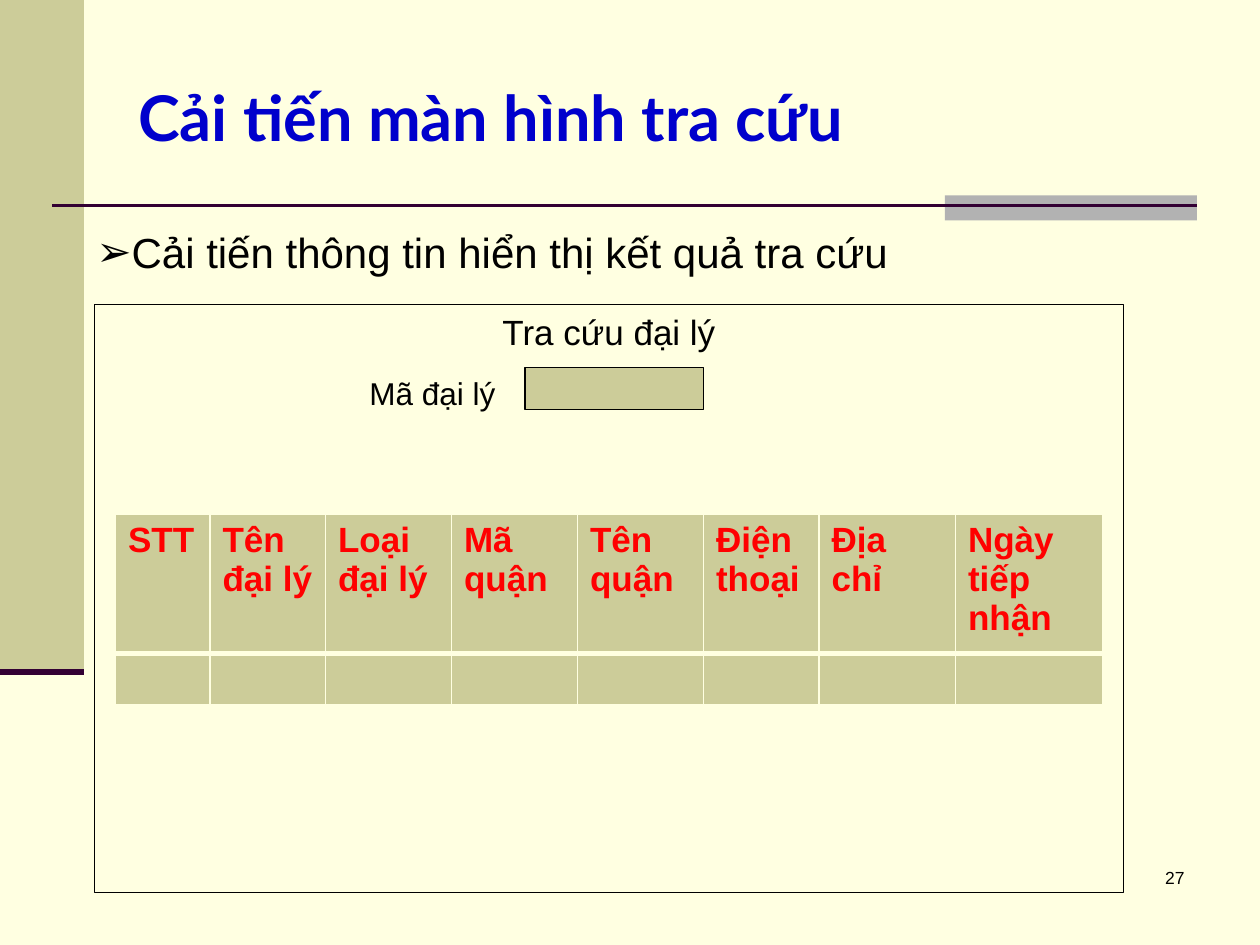
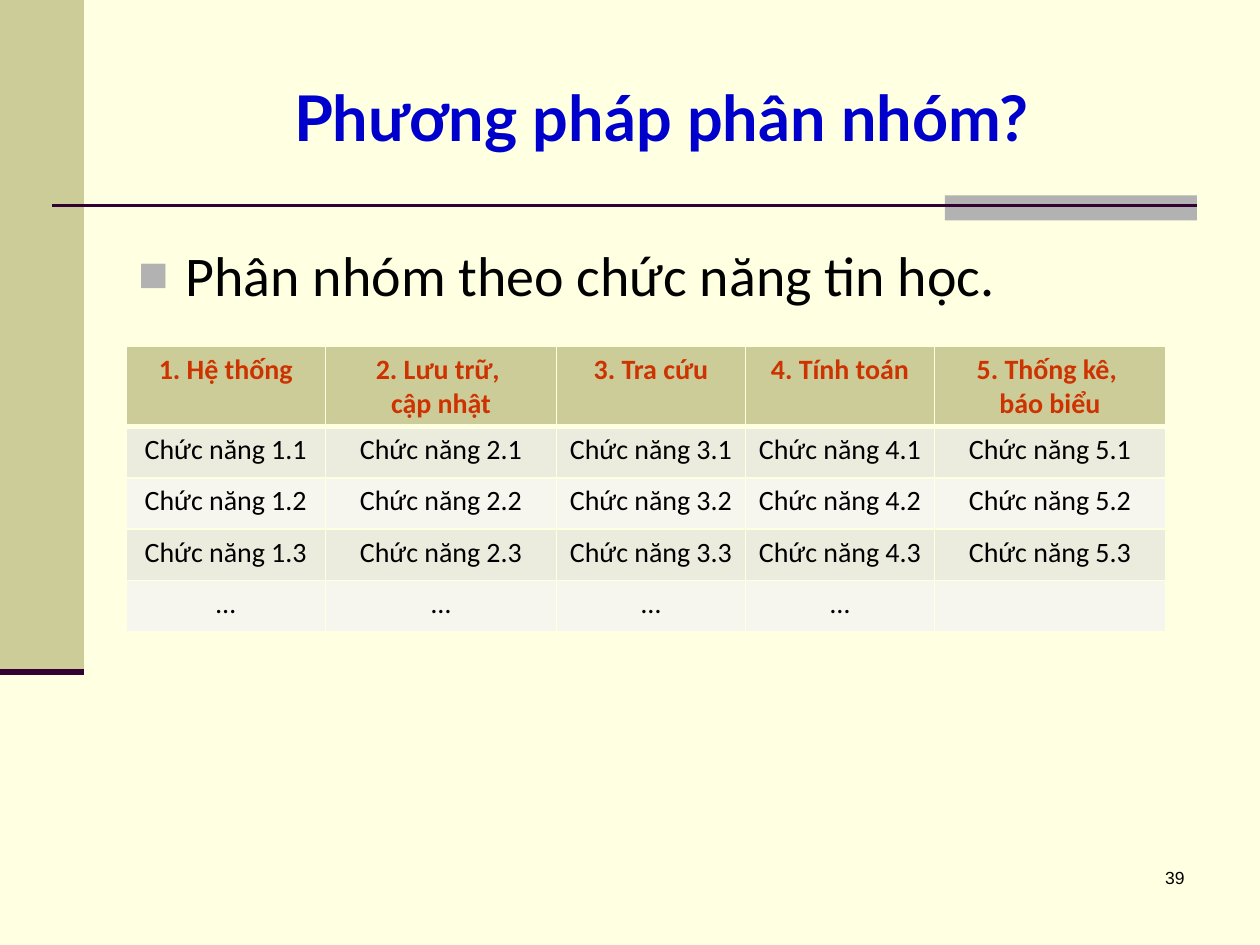
from dataclasses import dataclass
from typing import Any

from lxml import etree
from pptx import Presentation
from pptx import util as u
from pptx.dml.color import RGBColor
from pptx.enum import shapes, text
from pptx.oxml import ns

PX = u.Inches(1) // 120  # one px is 1/120 inch

# Shared colours
PAPER, SAND, GREY, PLUM = "FFFFE1", "CCCC99", "B2B2B2", "330033"
BLUE, RED, RUST, BLACK = "0000CC", "FF0000", "CC3300", "000000"
STRIPES = ("ECECDE", "F6F6EF")

LEFT, MID = text.PP_ALIGN.LEFT, text.PP_ALIGN.CENTER
RIGHT, FULL = text.PP_ALIGN.RIGHT, text.PP_ALIGN.JUSTIFY
TOP, HALF = text.MSO_ANCHOR.TOP, text.MSO_ANCHOR.MIDDLE


@dataclass(frozen=True)
class Area:
    x: int
    y: int
    w: int
    h: int

    def emu(self) -> tuple[int, ...]:
        return tuple(n * PX for n in (self.x, self.y, self.w, self.h))


@dataclass(frozen=True)
class Type:
    size: int
    name: str = "Arial"
    hue: str = BLACK
    bold: bool = False
    align: Any = LEFT


@dataclass(frozen=True)
class Band:
    area: Area
    fill: str


@dataclass(frozen=True)
class Rule:
    x1: int
    y: int
    x2: int
    width: float


@dataclass(frozen=True)
class Bullet:
    char: str
    hue: str = BLACK
    scale: int = 100
    indent: int = 0


@dataclass(frozen=True)
class Grid:
    x: int
    y: int
    cols: tuple[int, ...]
    rows: tuple[int, ...]
    head: Type
    body: Type
    fills: tuple[str, ...]  # body fills, taken in turn


# Shared parts
BANDS = (Band(Area(0, 0, 80, 640), SAND), Band(Area(900, 186, 240, 24), GREY))
RULES = (Rule(50, 196, 1140, 1.5), Rule(0, 640, 80, 3.5))
TITLE, NUMBER = Area(120, 36, 1020, 150), Area(890, 820, 250, 60)


def rgb(hue: str) -> RGBColor:
    return RGBColor.from_string(hue)


def assign(item: Any, **values: Any) -> None:
    for key, value in values.items():
        setattr(item, key, value)


def child(node: Any, tag: str, **attrs: Any) -> Any:
    return etree.SubElement(node, ns.qn(tag), {k: str(v) for k, v in attrs.items()})


def paint(item: Any, hue: str) -> None:
    item.fill.solid()
    item.fill.fore_color.rgb = rgb(hue)


def write(frame: Any, words: str, kind: Type) -> None:
    frame.text = words
    for par in frame.paragraphs:
        par.alignment = kind.align
        assign(par.font, size=u.Pt(kind.size), name=kind.name, bold=kind.bold)
        par.font.color.rgb = rgb(kind.hue)
        for run in par.runs:
            assign(run.font, size=u.Pt(kind.size), name=kind.name, bold=kind.bold)
            run.font.color.rgb = rgb(kind.hue)


def label(slide: Any, area: Area, words: str, kind: Type, anchor: Any = TOP) -> Any:
    frame = slide.shapes.add_textbox(*area.emu()).text_frame
    assign(frame, word_wrap=True, vertical_anchor=anchor)
    write(frame, words, kind)
    return frame.paragraphs[0]


def mark(par: Any, dot: Bullet) -> None:
    props = par._p.get_or_add_pPr()
    props.set("marL", str(dot.indent * PX))
    props.set("indent", str(-dot.indent * PX))
    child(child(props, "a:buClr"), "a:srgbClr", val=dot.hue)
    child(props, "a:buSzPct", val=dot.scale * 1000)
    child(props, "a:buFont", typeface="Arial")
    child(props, "a:buChar", char=dot.char)


def block(slide: Any, area: Area, fill: str = "", line: str = "") -> Any:
    shape = slide.shapes.add_shape(shapes.MSO_SHAPE.RECTANGLE, *area.emu())
    shape.shadow.inherit = False
    if fill:
        paint(shape, fill)
    else:
        shape.fill.background()
    if line:
        shape.line.color.rgb = rgb(line)
        shape.line.width = u.Pt(0.75)
    else:
        shape.line.fill.background()
    return shape


def stroke(slide: Any, rule: Rule) -> None:
    ends = (n * PX for n in (rule.x1, rule.y, rule.x2, rule.y))
    line = slide.shapes.add_connector(shapes.MSO_CONNECTOR.STRAIGHT, *ends)
    line.line.color.rgb = rgb(PLUM)
    line.line.width = u.Pt(rule.width)
    child(line._element.spPr, "a:effectLst")


def edge(cell: Any, top: int, foot: int) -> None:
    props = cell._tc.get_or_add_tcPr()
    for side, width in (("L", 1), ("R", 1), ("T", top), ("B", foot)):
        line = child(props, f"a:ln{side}", w=u.Pt(width))
        child(child(line, "a:solidFill"), "a:srgbClr", val=PAPER)


def table(slide: Any, grid: Grid, data: list[list[str]]) -> None:
    area = Area(grid.x, grid.y, sum(grid.cols), sum(grid.rows))
    tab = slide.shapes.add_table(len(grid.rows), len(grid.cols), *area.emu()).table
    assign(tab, first_row=False, horz_banding=False)
    for col, width in zip(tab.columns, grid.cols):
        col.width = width * PX
    for r, (row, height, line) in enumerate(zip(tab.rows, grid.rows, data)):
        row.height = height * PX
        fill = grid.fills[(r - 1) % len(grid.fills)] if r else SAND
        for cell, words in zip(row.cells, line):
            edge(cell, 3 if r == 1 else 1, 1 if r else 3)
            paint(cell, fill)
            write(cell.text_frame, words, grid.body if r else grid.head)


def start(deck: Any, title: str, number: int, align: Any) -> Any:
    slide = deck.slides.add_slide(deck.slide_layouts[6])
    paint(slide.background, PAPER)
    for band in BANDS:
        block(slide, band.area, band.fill)
    for rule in RULES:
        stroke(slide, rule)
    label(slide, TITLE, title, Type(36, "Lato", BLUE, True, align), HALF)
    label(slide, NUMBER, str(number), Type(10, align=RIGHT))
    return slide


def lookup(deck: Any) -> None:
    slide = start(deck, "Cải tiến màn hình tra cứu", 27, LEFT)

    # Form frame with its search field
    form = block(slide, Area(90, 290, 980, 560), line=BLACK).text_frame
    assign(form, word_wrap=False, vertical_anchor=TOP)
    write(form, "Tra cứu đại lý", Type(20, align=MID))
    label(slide, Area(340, 350, 150, 48), "Mã đại lý", Type(18))
    block(slide, Area(500, 350, 170, 40), SAND, BLACK)

    lead = "Cải tiến thông tin hiển thị kết quả tra cứu"
    mark(label(slide, Area(80, 210, 990, 60), lead, Type(24)), Bullet("➢"))

    # Result columns over one empty row
    heads = ["STT", "Tên đại lý", "Loại đại lý", "Mã quận", "Tên quận",
             "Điện thoại", "Địa chỉ", "Ngày tiếp nhận"]
    grid = Grid(110, 490, (90, 110, 120, 120, 120, 110, 130, 140), (132, 49),
                Type(20, hue=RED, bold=True), Type(18), (SAND,))
    table(slide, grid, [heads, [""] * len(heads)])


def groups(deck: Any) -> None:
    slide = start(deck, "Phương pháp phân nhóm?", 39, MID)

    lead = label(slide, Area(120, 210, 1020, 594), "Phân nhóm theo chức năng tin học.",
                 Type(32, "Calibri", align=FULL))
    lead.line_spacing = 1.2
    mark(lead, Bullet("■", GREY, 90, 45))

    # Function groups, three numbered functions each
    heads = ["1. Hệ thống", "2. Lưu trữ, \ncập nhật", "3. Tra cứu",
             "4. Tính toán", "5. Thống kê, \nbáo biểu"]
    tasks = [[f"Chức năng {g}.{n}" for g in range(1, 6)] for n in range(1, 4)]
    grid = Grid(120, 330, (190, 220, 180, 180, 220), (75,) + (49,) * 4,
                Type(16, "Calibri", RUST, True, MID),
                Type(16, "Calibri", align=MID), STRIPES)
    table(slide, grid, [heads, *tasks, ["…"] * 4 + [""]])


def main() -> None:
    deck = Presentation()
    assign(deck, slide_width=1200 * PX, slide_height=900 * PX)
    lookup(deck)
    groups(deck)
    deck.save("out.pptx")


if __name__ == "__main__":
    main()
